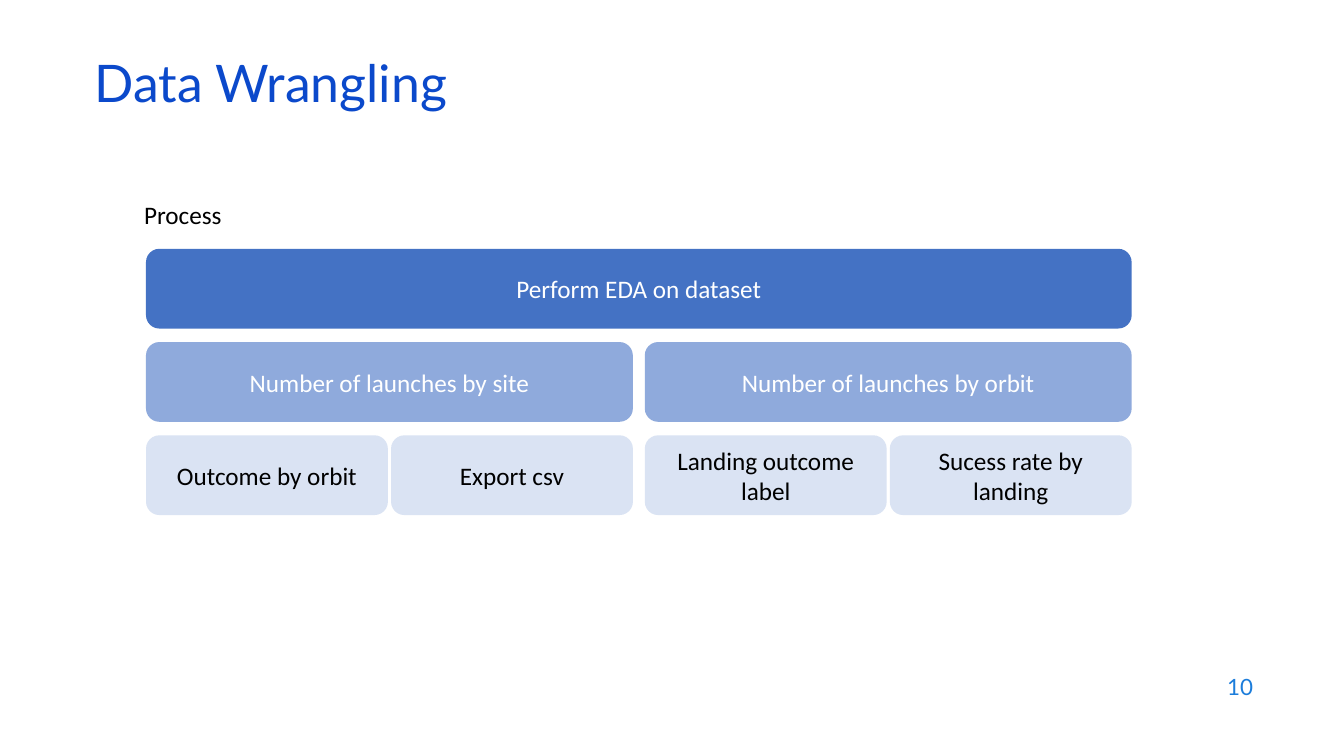
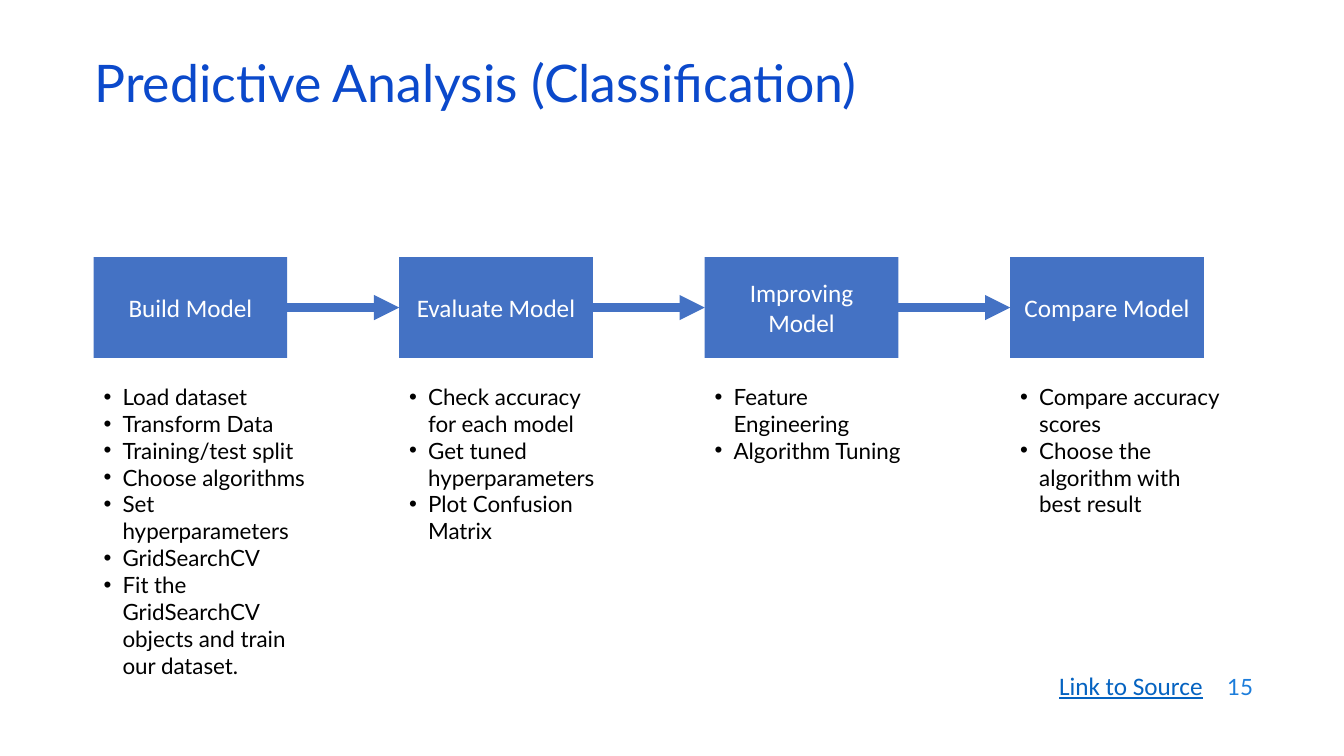
from lxml.etree import SubElement
from pptx import Presentation
from pptx.dml.color import RGBColor
from pptx.enum.shapes import MSO_CONNECTOR, MSO_SHAPE
from pptx.enum.text import MSO_ANCHOR, MSO_AUTO_SIZE, PP_ALIGN
from pptx.oxml.ns import qn
from pptx.util import Cm, Pt

BLUE = "4472C4"
BOX_FONT = {"name": "Calibri", "size": Pt(18)}

# Text styles: frame, paragraph and font values, plus colour and bullet
STYLES = {
    "title": {
        "frame": {"vertical_anchor": MSO_ANCHOR.MIDDLE, "word_wrap": True},
        "paragraph": {"alignment": PP_ALIGN.LEFT, "line_spacing": 0.7},
        "font": {"name": "Lato", "size": Pt(37)}, "color": "0B49CB"},
    "number": {
        "frame": {"vertical_anchor": MSO_ANCHOR.MIDDLE, "word_wrap": True},
        "paragraph": {"alignment": PP_ALIGN.RIGHT},
        "font": {"name": "Lato", "size": Pt(16)}, "color": "1C7DDB"},
    "caption": {
        "frame": {"word_wrap": False}, "paragraph": {},
        "font": BOX_FONT, "color": "000000"},
    "link": {
        "frame": {"word_wrap": False}, "paragraph": {},
        "font": {**BOX_FONT, "underline": True}, "color": "0563C1"},
    "box": {
        "frame": {"vertical_anchor": MSO_ANCHOR.MIDDLE, "word_wrap": True},
        "paragraph": {"alignment": PP_ALIGN.CENTER},
        "font": BOX_FONT, "color": "FFFFFF"},
    "list": {
        "frame": {"word_wrap": True}, "paragraph": {},
        "font": {"name": "Lato", "size": Pt(16)}, "color": "000000",
        "bullet": "•"},
}
STYLES["dark box"] = {**STYLES["box"], "color": "000000"}


def rgb(color):
    return RGBColor.from_string(color)


def write_text(shape, lines, style_name, fill=None):
    """Fill a shape with styled paragraphs and, if given, a plain colour."""
    style = STYLES[style_name]
    frame = shape.text_frame
    frame.text = "\n".join(lines)
    frame.auto_size = MSO_AUTO_SIZE.NONE
    for name, value in style["frame"].items():
        setattr(frame, name, value)
    for paragraph in frame.paragraphs:
        if "bullet" in style:
            properties = paragraph._p.get_or_add_pPr()
            properties.set("marL", str(Cm(0.48)))
            properties.set("indent", str(-Cm(0.48)))
            SubElement(properties, qn("a:buFont")).set("typeface", "Arial")
            SubElement(properties, qn("a:buChar")).set("char", style["bullet"])
        for name, value in style["paragraph"].items():
            setattr(paragraph, name, value)
        for run in paragraph.runs:
            for name, value in style["font"].items():
                setattr(run.font, name, value)
            run.font.color.rgb = rgb(style["color"])
    if fill:
        shape.shadow.inherit = False
        shape.fill.solid()
        shape.fill.fore_color.rgb = rgb(fill)
        shape.line.fill.background()


presentation = Presentation()
presentation.slide_width = Cm(33.87)
presentation.slide_height = Cm(19.05)

# Titles and slide numbers
slides = []
for title, number in [("Data Wrangling", "10"),
                      ("Predictive Analysis (Classification)", "15")]:
    slide = presentation.slides.add_slide(presentation.slide_layouts[5])
    heading = slide.shapes.title
    position = {"left": Cm(2.13), "top": Cm(1.5),
                "width": Cm(29.21), "height": Cm(1.52)}
    for name, value in position.items():
        setattr(heading, name, value)
    write_text(heading, [title], "title")
    number_box = slide.shapes.add_textbox(Cm(24.21), Cm(16.74), Cm(7.62), Cm(1.12))
    write_text(number_box, [number], "number")
    slides.append(slide)
wrangling, analysis = slides

# Data wrangling: each row halves the boxes of the row above
caption = wrangling.shapes.add_textbox(Cm(3.38), Cm(4.9), Cm(2.5), Cm(1.02))
write_text(caption, ["Process"], "caption")

HALF_GAP, QUARTER_GAP = 0.3, 0.08
full_width = 24.84
half_width = (full_width - HALF_GAP) / 2
quarter_width = (half_width - QUARTER_GAP) / 2
halves = [3.68, 3.68 + half_width + HALF_GAP]
quarters = [left + step for left in halves
            for step in (0, quarter_width + QUARTER_GAP)]
rows = [
    (BLUE, "box", full_width, halves[:1], ["Perform EDA on dataset"]),
    ("8FAADC", "box", half_width, halves,
     ["Number of launches by site", "Number of launches by orbit"]),
    ("DAE3F3", "dark box", quarter_width, quarters,
     ["Outcome by orbit", "Export csv",
      "Landing outcome label", "Sucess rate by landing"]),
]
for row, (fill, style_name, width, lefts, labels) in enumerate(rows):
    for left, label in zip(lefts, labels):
        box = wrangling.shapes.add_shape(
            MSO_SHAPE.ROUNDED_RECTANGLE,
            Cm(left), Cm(6.27 + 2.35 * row), Cm(width), Cm(2.01))
        write_text(box, [label], style_name, fill)

# Predictive analysis: four steps, each with a list below
link = analysis.shapes.add_textbox(Cm(26.44), Cm(16.76), Cm(4.24), Cm(1.02))
write_text(link, ["Link to Source"], "link")

steps = [
    ("Build Model", 8.03,
     ["Load dataset", "Transform Data", "Training/test split",
      "Choose algorithms", "Set hyperparameters", "GridSearchCV",
      "Fit the GridSearchCV objects and train our dataset."]),
    ("Evaluate Model", 4.75,
     ["Check accuracy for each model", "Get tuned hyperparameters",
      "Plot Confusion Matrix"]),
    ("Improving Model", 2.54, ["Feature Engineering", "Algorithm Tuning"]),
    ("Compare Model", 4.37,
     ["Compare accuracy scores", "Choose the algorithm with best result"]),
]
step_boxes = []
for column, (label, list_height, items) in enumerate(steps):
    left = Cm(2.36 + 7.7 * column)
    box = analysis.shapes.add_shape(
        MSO_SHAPE.RECTANGLE, left, Cm(6.48), Cm(4.88), Cm(2.54))
    write_text(box, [label], "box", BLUE)
    step_boxes.append(box)
    details = analysis.shapes.add_textbox(left, Cm(9.53), Cm(5.64), Cm(list_height))
    write_text(details, items, "list")

# Arrows between neighbouring steps
for start, end in zip(step_boxes, step_boxes[1:]):
    arrow = analysis.shapes.add_connector(MSO_CONNECTOR.STRAIGHT, 0, 0, 0, 0)
    arrow.begin_connect(start, 3)
    arrow.end_connect(end, 1)
    arrow.line.color.rgb = rgb(BLUE)
    arrow.line.width = Pt(6)
    SubElement(arrow.line._get_or_add_ln(), qn("a:tailEnd")).set("type", "triangle")
    SubElement(arrow._element.spPr, qn("a:effectLst"))

presentation.save("out.pptx")
